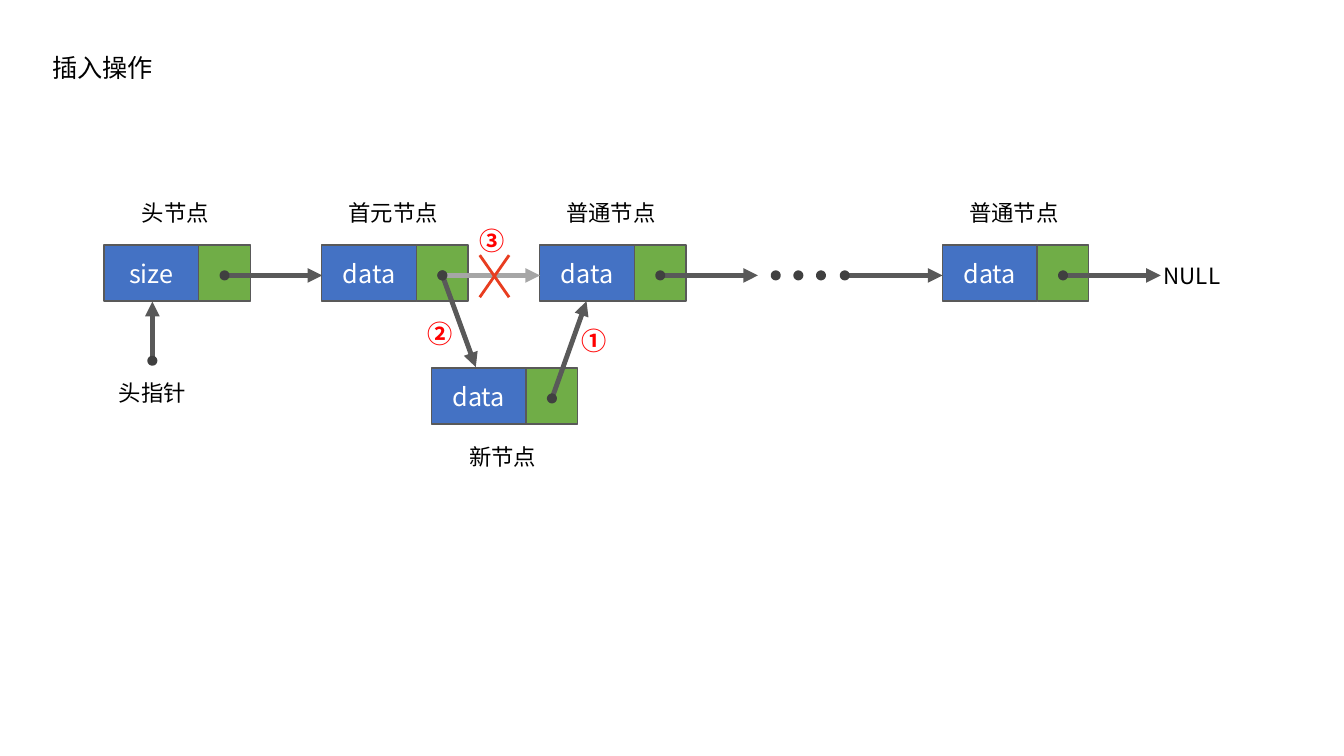
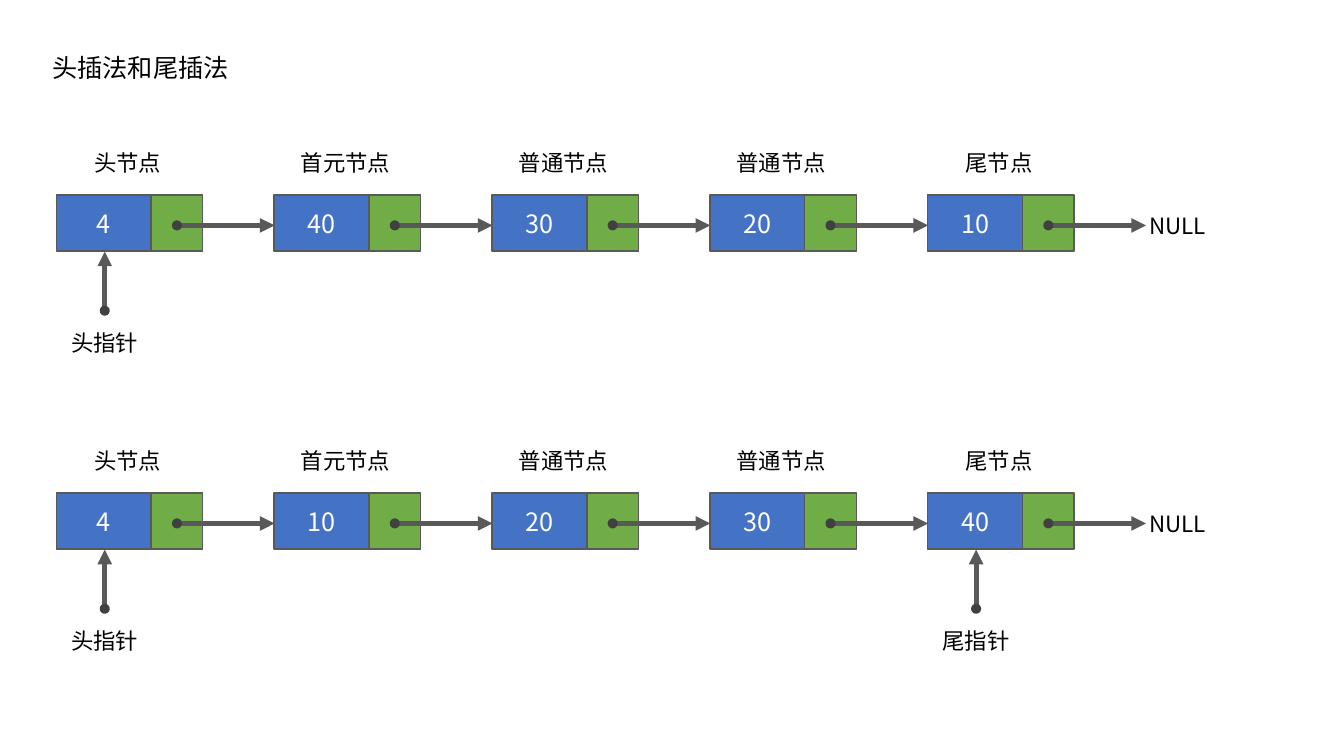
"""Build two slides of linked-list diagrams: insertion, and head and tail insertion."""
from pptx import Presentation
from pptx.dml.color import RGBColor
from pptx.enum.shapes import MSO_CONNECTOR, MSO_SHAPE
from pptx.enum.text import MSO_ANCHOR, MSO_AUTO_SIZE, PP_ALIGN
from pptx.oxml.ns import qn
from pptx.util import Cm, Pt
from lxml.etree import SubElement

BLACK = RGBColor(0x00, 0x00, 0x00)
WHITE = RGBColor(0xFF, 0xFF, 0xFF)
BLUE = RGBColor(0x44, 0x72, 0xC4)
GREEN = RGBColor(0x70, 0xAD, 0x47)
GRAY = RGBColor(0x59, 0x59, 0x59)
DARK_GRAY = RGBColor(0x40, 0x40, 0x40)
LIGHT_GRAY = RGBColor(0xA6, 0xA6, 0xA6)
RED = RGBColor(0xFF, 0x00, 0x00)
CROSS_RED = RGBColor(0xE8, 0x3D, 0x20)

FONT = "Noto Sans CJK SC"
DATA_WIDTH, LINK_WIDTH, NODE_HEIGHT = 2.39, 1.3, 1.42
PITCH = 5.49
ARROW_LENGTH = 2.46
LINK_X, LINK_Y = 3.04, 0.77
DOT_SIZE = 0.13
LABEL_CENTER = 1.8
ABOVE, BELOW = -1.28, 1.78


class ListDiagram:
    """Style and current slide of the linked-list diagrams, measured in centimetres."""

    def __init__(self):
        self.presentation = Presentation()
        self.presentation.slide_width = Cm(33.87)
        self.presentation.slide_height = Cm(19.05)
        self.slide = None

    def start_slide(self, title):
        self.slide = self.presentation.slides.add_slide(self.presentation.slide_layouts[6])
        self.text(title, 1.07, 1.19, 9.3, 18, align=PP_ALIGN.LEFT)

    def set_text(self, shape, text, size, color, align, bold=False):
        text_frame = shape.text_frame
        text_frame.word_wrap = True
        text_frame.text = text
        paragraph = text_frame.paragraphs[0]
        paragraph.alignment = align
        for run in paragraph.runs:
            run.font.name = FONT
            run.font.size = Pt(size)
            run.font.bold = bold
            run.font.color.rgb = color
        for properties in shape.element.iter(qn("a:rPr")):
            SubElement(properties, qn("a:ea"), typeface=FONT)

    def text(self, text, left, top, width, size=16, color=BLACK, align=PP_ALIGN.CENTER, bold=False):
        height = 1.02 if size == 18 else 0.94
        box = self.slide.shapes.add_textbox(Cm(left), Cm(top), Cm(width), Cm(height))
        box.text_frame.auto_size = MSO_AUTO_SIZE.SHAPE_TO_FIT_TEXT
        self.set_text(box, text, size, color, align, bold)

    def centered(self, text, center, top, width=3.3):
        self.text(text, center - width / 2, top, width)

    def shape(self, kind, left, top, width, height, fill, line, weight):
        shape = self.slide.shapes.add_shape(kind, Cm(left), Cm(top), Cm(width), Cm(height))
        shape.shadow.inherit = False
        shape.fill.solid()
        shape.fill.fore_color.rgb = fill
        shape.line.color.rgb = line
        shape.line.width = Pt(weight)
        return shape

    def node(self, left, top, value, label, label_offset=ABOVE):
        data = self.shape(MSO_SHAPE.RECTANGLE, left, top, DATA_WIDTH, NODE_HEIGHT, BLUE, GRAY, 1)
        data.text_frame.vertical_anchor = MSO_ANCHOR.MIDDLE
        self.set_text(data, value, 18, WHITE, PP_ALIGN.CENTER)
        self.shape(MSO_SHAPE.RECTANGLE, left + DATA_WIDTH, top, LINK_WIDTH, NODE_HEIGHT, GREEN, GRAY, 1)
        self.centered(label, left + LABEL_CENTER, top + label_offset)

    def dot(self, x, y):
        self.shape(MSO_SHAPE.OVAL, x - DOT_SIZE / 2, y - DOT_SIZE / 2, DOT_SIZE, DOT_SIZE,
                   DARK_GRAY, DARK_GRAY, 3.5)

    def line(self, start, end, color, weight):
        connector = self.slide.shapes.add_connector(
            MSO_CONNECTOR.STRAIGHT, *(Cm(value) for value in (*start, *end)))
        connector.line.color.rgb = color
        connector.line.width = Pt(weight)
        SubElement(connector.element.spPr, qn("a:effectLst"))
        return connector

    def arrow(self, start, end, color=GRAY):
        connector = self.line(start, end, color, 3.5)
        SubElement(connector.element.spPr.find(qn("a:ln")), qn("a:tailEnd"), type="triangle")
        self.dot(*start)

    def link(self, left, top, color=GRAY):
        x, y = left + LINK_X, top + LINK_Y
        self.arrow((x, y), (x + ARROW_LENGTH, y), color)

    def pointer(self, left, top, label):
        x = left + 1.22
        self.arrow((x, top + 2.92), (x, top + NODE_HEIGHT + 0.01))
        self.centered(label, x, top + 3.25)

    def null(self, left, top):
        self.centered("NULL", left + 6.29, top + 0.32, 2.64)

    def chain(self, left, top, values):
        labels = ("头节点", "首元节点", "普通节点", "普通节点", "尾节点")
        lefts = [left + PITCH * index for index in range(len(values))]
        for node_left, value, label in zip(lefts, values, labels):
            self.node(node_left, top, value, label)
        for node_left in lefts:
            self.link(node_left, top)
        self.null(lefts[-1], top)
        self.pointer(left, top, "头指针")
        return lefts[-1]


def build_insertion(diagram):
    diagram.start_slide("插入操作")
    top = 6.17
    head, first, second = (2.62 + PITCH * index for index in range(3))
    last = 23.75
    new, new_top = 10.87, 9.27

    diagram.node(head, top, "size", "头节点")
    diagram.node(first, top, "data", "首元节点")
    diagram.node(second, top, "data", "普通节点")
    diagram.node(last, top, "data", "普通节点")
    diagram.node(new, new_top, "data", "新节点", BELOW)

    for left in (head, second, last):
        diagram.link(left, top)
    diagram.null(last, top)
    diagram.pointer(head, top, "头指针")

    link_y = top + LINK_Y
    for index in range(3):
        diagram.dot(19.55 + 0.57 * index, link_y)
    diagram.arrow((last - ARROW_LENGTH, link_y), (last, link_y))

    diagram.arrow((first + LINK_X, link_y), (11.99, new_top - 0.02))
    diagram.arrow((new + LINK_X, new_top + LINK_Y), (14.78, top + NODE_HEIGHT))
    diagram.link(first, top, LIGHT_GRAY)
    for start_y, end_y in ((6.43, 7.49), (7.49, 6.43)):
        diagram.line((12.09, start_y), (12.83, end_y), CROSS_RED, 2)
    for step, left, step_top in (("①", 14.4, 8.08), ("②", 10.52, 7.9), ("③", 11.84, 5.56)):
        diagram.text(step, left, step_top, 2.54, 18, RED, PP_ALIGN.LEFT, bold=True)


def build_head_and_tail(diagram):
    diagram.start_slide("头插法和尾插法")
    left, head_top, tail_top = 1.42, 4.91, 12.42
    diagram.chain(left, head_top, ("4", "40", "30", "20", "10"))
    tail = diagram.chain(left, tail_top, ("4", "10", "20", "30", "40"))
    diagram.pointer(tail, tail_top, "尾指针")


def main():
    diagram = ListDiagram()
    build_insertion(diagram)
    build_head_and_tail(diagram)
    diagram.presentation.save("out.pptx")


if __name__ == "__main__":
    main()
